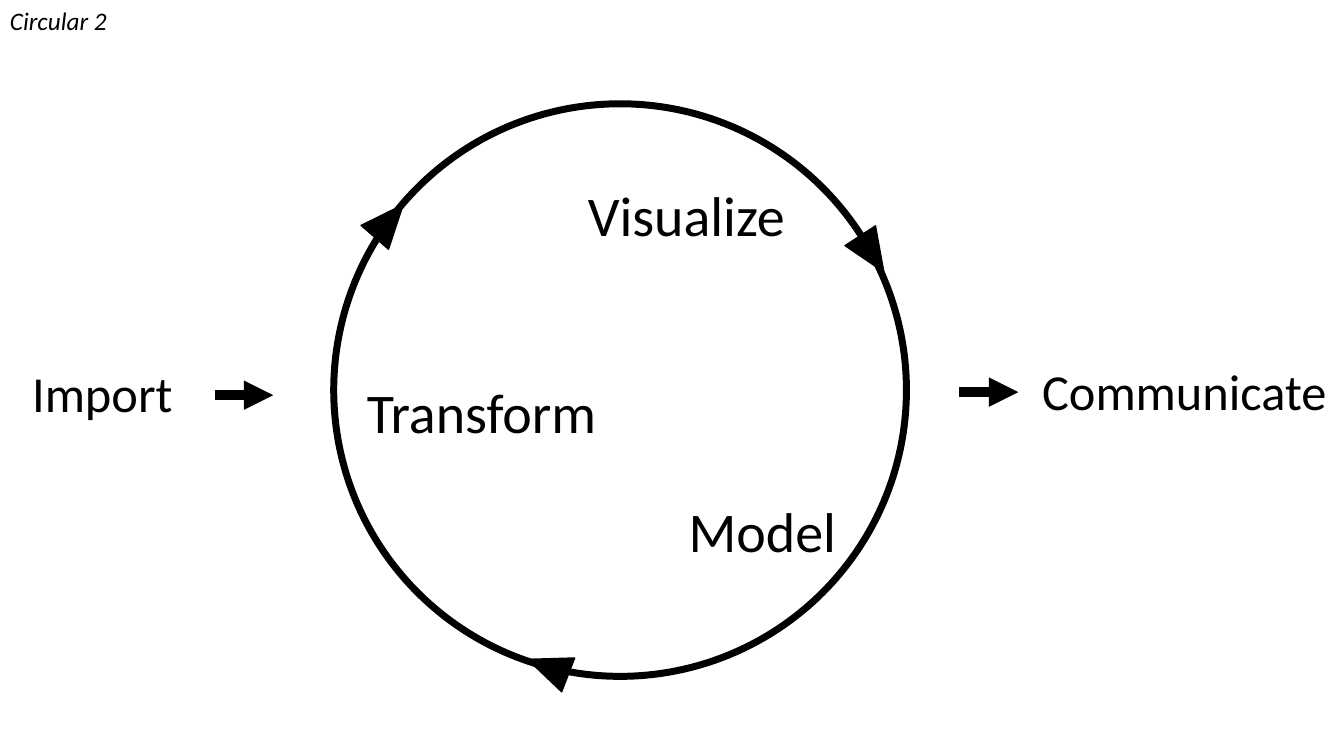
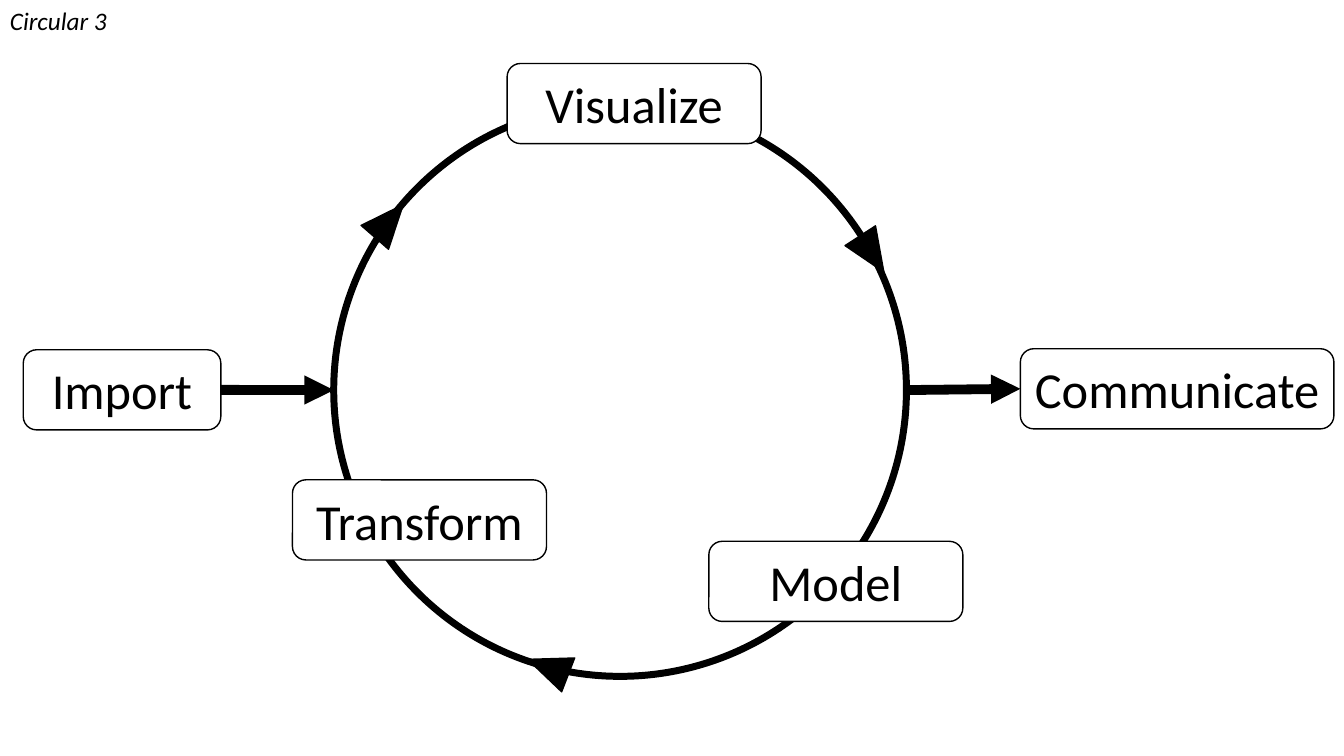
from math import cos, radians, sin

from lxml import etree
from pptx import Presentation
from pptx.dml.color import RGBColor
from pptx.enum.shapes import MSO_CONNECTOR, MSO_SHAPE
from pptx.enum.text import MSO_ANCHOR, MSO_AUTO_SIZE, PP_ALIGN
from pptx.oxml.ns import qn
from pptx.util import Inches, Pt

STRAIGHT = MSO_CONNECTOR.STRAIGHT
OVAL, TRIANGLE = MSO_SHAPE.OVAL, MSO_SHAPE.ISOSCELES_TRIANGLE
ROUNDED = MSO_SHAPE.ROUNDED_RECTANGLE
MIDDLE, CENTER = MSO_ANCHOR.MIDDLE, PP_ALIGN.CENTER
FIT_SHAPE = MSO_AUTO_SIZE.SHAPE_TO_FIT_TEXT
LEFT_SIDE, RIGHT_SIDE = 1, 3

BLACK = RGBColor(0x00, 0x00, 0x00)
WHITE = RGBColor(0xFF, 0xFF, 0xFF)
FONT = "Calibri"
CAPTION_SIZE, STEP_SIZE, CYCLE_SIZE = 18, 36, 40

SLIDE_WIDTH, SLIDE_HEIGHT = Inches(13.33), Inches(7.5)


def across(percent):
    return round(SLIDE_WIDTH * percent / 100)


def down(percent):
    return round(SLIDE_HEIGHT * percent / 100)


CENTER_X, CENTER_Y, RADIUS = across(46.14), down(51.6), down(37.87)
HEAD_WIDTH, HEAD_HEIGHT = across(2.7), down(5.73)
# Clockwise angle from the top of the circle, and rotation of the arrowhead
CYCLE_HEADS = [(194.6, 291), (306.2, 41), (61.6, 147)]

# Left, top, width and height in percent of the slide
LABELS = [
    ("Import", STEP_SIZE, (1.65, 47.2, 13.2, 9.47)),
    ("Communicate", STEP_SIZE, (76.8, 46.93, 24.3, 9.47)),
    ("Visualize", CYCLE_SIZE, (43, 23.2, 16.95, 10.27)),
    ("Transform", CYCLE_SIZE, (26.56, 49.33, 19.05, 10.27)),
    ("Model", CYCLE_SIZE, (50.5, 65.07, 13.13, 10.27)),
]
# Start, end and height of each arrow in percent
SHORT_ARROWS = [(15.98, 20.33, 52.27), (71.34, 75.77, 51.87)]

BOX_HEIGHT, CYCLE_BOX_WIDTH = 10.6, 18.9
BOXES = [
    ("Transform", 21.76, 63.47, CYCLE_BOX_WIDTH),
    ("Model", 52.74, 71.6, CYCLE_BOX_WIDTH),
    ("Visualize", 37.73, 8.4, CYCLE_BOX_WIDTH),
    ("Import", 1.73, 46.27, 14.7),
    ("Communicate", 75.92, 46.13, 23.33),
]


def write(para, text, size, italic=False):
    span = para.add_run()
    span.text = text
    span.font.name = FONT
    span.font.size = Pt(size)
    span.font.italic = italic
    span.font.color.rgb = BLACK


def add_label(page, text, size, area, italic=False):
    left, top, width, height = area
    box = page.shapes.add_textbox(across(left), down(top), across(width), down(height))
    box.text_frame.word_wrap = True
    box.text_frame.auto_size = FIT_SHAPE
    write(box.text_frame.paragraphs[0], text, size, italic)


def add_outlined(page, kind, left, top, width, height, fill, weight):
    shape = page.shapes.add_shape(kind, left, top, width, height)
    shape.shadow.inherit = False
    shape.fill.solid()
    shape.fill.fore_color.rgb = fill
    shape.line.color.rgb = BLACK
    shape.line.width = Pt(weight)
    return shape


def add_step_box(page, text, left, top, width):
    box = add_outlined(page, ROUNDED, across(left), down(top), across(width),
                       down(BOX_HEIGHT), WHITE, 1)
    box.text_frame.word_wrap = False
    box.text_frame.vertical_anchor = MIDDLE
    para = box.text_frame.paragraphs[0]
    para.alignment = CENTER
    write(para, text, STEP_SIZE)
    return box


def add_arrow(page, start_x, end_x, y):
    arrow = page.shapes.add_connector(STRAIGHT, start_x, y, end_x, y)
    arrow.line.color.rgb = BLACK
    arrow.line.width = Pt(7)
    properties = arrow.element.spPr
    etree.SubElement(properties.find(qn("a:ln")), qn("a:tailEnd"), type="triangle")
    etree.SubElement(properties, qn("a:effectLst"))
    return arrow


def add_cycle(page):
    """Draw the circle and the arrowheads that run clockwise along it."""
    add_outlined(page, OVAL, CENTER_X - RADIUS, CENTER_Y - RADIUS,
                 2 * RADIUS, 2 * RADIUS, WHITE, 5)
    for angle, rotation in CYCLE_HEADS:
        x = CENTER_X + RADIUS * sin(radians(angle))
        y = CENTER_Y - RADIUS * cos(radians(angle))
        head = add_outlined(page, TRIANGLE, round(x - HEAD_WIDTH / 2),
                            round(y - HEAD_HEIGHT / 2), HEAD_WIDTH, HEAD_HEIGHT, BLACK, 1)
        head.rotation = rotation


def add_cycle_page(deck, caption):
    page = deck.slides.add_slide(deck.slide_layouts[6])
    add_cycle(page)
    add_label(page, caption, CAPTION_SIZE, (0, 0, 16.2, 5.33), italic=True)
    return page


def add_labelled_cycle(deck):
    page = add_cycle_page(deck, "Circular 2")
    for text, size, area in LABELS:
        add_label(page, text, size, area)
    for start, end, height in SHORT_ARROWS:
        add_arrow(page, across(start), across(end), down(height))


def add_boxed_cycle(deck):
    page = add_cycle_page(deck, "Circular 3")
    boxes = {text: add_step_box(page, text, *place) for text, *place in BOXES}
    circle_left, circle_right = CENTER_X - RADIUS, CENTER_X + RADIUS
    source, target = boxes["Import"], boxes["Communicate"]
    inward = add_arrow(page, source.left + source.width, circle_left, CENTER_Y)
    inward.begin_connect(source, RIGHT_SIDE)
    outward = add_arrow(page, circle_right, target.left, CENTER_Y)
    outward.end_connect(target, LEFT_SIDE)


def main():
    deck = Presentation()
    deck.slide_width, deck.slide_height = SLIDE_WIDTH, SLIDE_HEIGHT
    add_labelled_cycle(deck)
    add_boxed_cycle(deck)
    deck.save("out.pptx")


if __name__ == "__main__":
    main()
